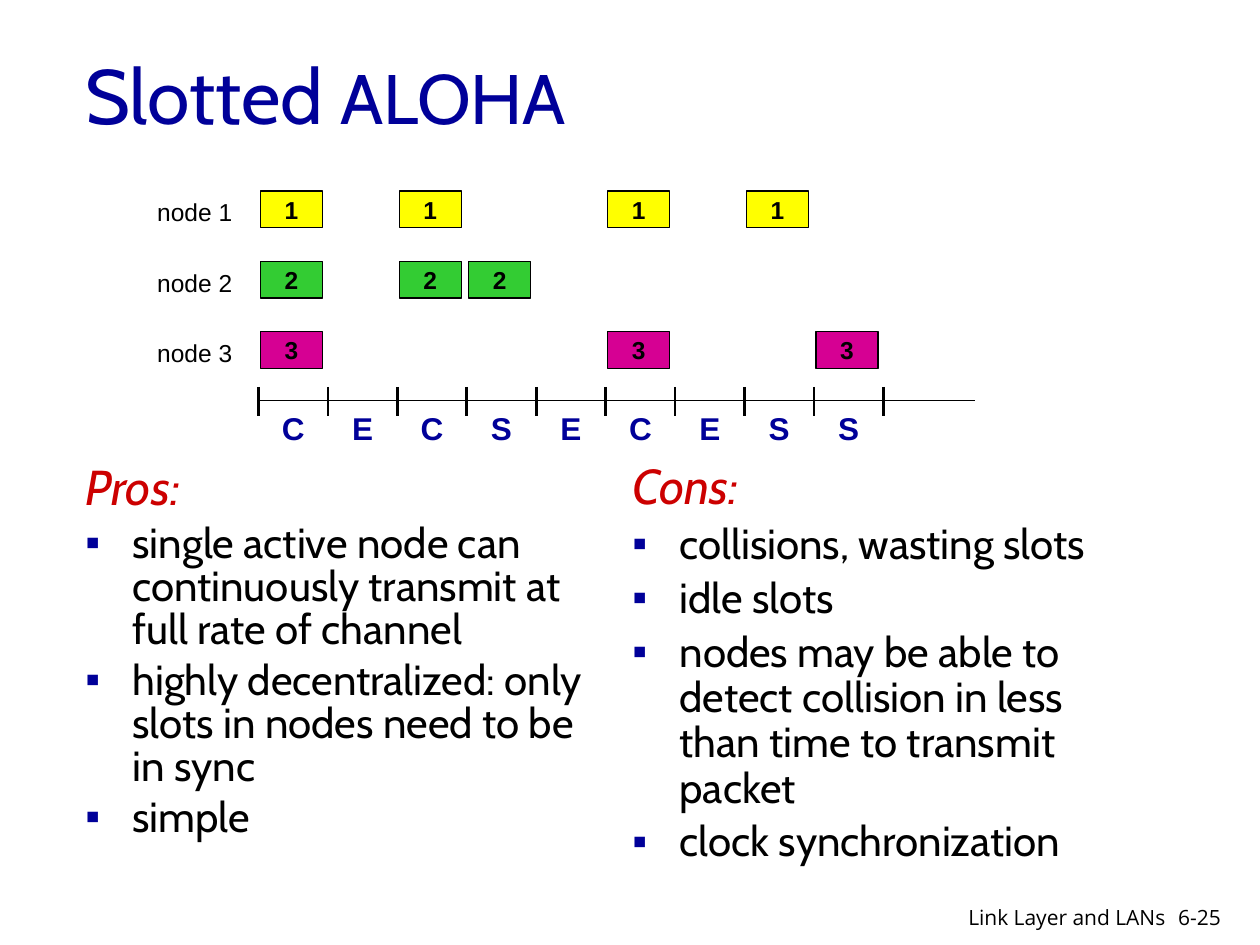
from dataclasses import dataclass

from lxml import etree
from pptx import Presentation
from pptx import util as u
from pptx.dml.color import RGBColor
from pptx.enum import shapes, text
from pptx.oxml import ns

Cm, Pt = u.Cm, u.Pt


@dataclass(frozen=True)
class Theme:
    heading_font: str = "Cabin"
    diagram_font: str = "Arial"
    footer_font: str = "Open Sans"
    navy: str = "000099"
    red: str = "CC0000"
    black: str = "000000"
    yellow: str = "FFFF00"
    green: str = "33CC33"
    magenta: str = "D60093"
    title: int = 44
    title_small: int = 40
    heading: int = 28
    body: int = 24
    outcome: int = 18
    label: int = 14
    footer: int = 12


THEME = Theme()

SLOT_LEFT, SLOT_WIDTH = 5.21, 1.4
ROW_TOP, ROW_PITCH = 3.85, 1.42
FRAME_WIDTH, FRAME_HEIGHT, FRAME_GAP = 1.25, 0.74, 0.04
AXIS_Y, AXIS_RIGHT = 8.08, 19.66
TICK_TOP, TICK_BOTTOM = 7.8, 8.39
OUTCOMES = "CECSECESS"
NODES = [
    (THEME.yellow, [0, 2, 5, 7]),
    (THEME.green, [0, 2, 3]),
    (THEME.magenta, [0, 5, 8]),
]
PROS = [
    "single active node can continuously transmit at full rate of channel",
    "highly decentralized: only slots in nodes need to be in sync",
    "simple",
]
CONS = [
    "collisions, wasting slots",
    "idle slots",
    "nodes may be able to detect collision in less than time to transmit packet",
    "clock synchronization",
]


def style_font(font, name, size, color, bold=False, italic=False):
    font.name = name
    font.size = Pt(size)
    font.color.rgb = RGBColor.from_string(color)
    font.bold = bold
    font.italic = italic


def add_text_frame(slide, left, top, width, height):
    box = slide.shapes.add_textbox(Cm(left), Cm(top), Cm(width), Cm(height))
    box.text_frame.word_wrap = True
    return box.text_frame


def add_label(slide, left, top, width, height, words, name, size,
              color=THEME.black, bold=False, align=text.PP_ALIGN.LEFT):
    paragraph = add_text_frame(slide, left, top, width, height).paragraphs[0]
    paragraph.text = words
    paragraph.alignment = align
    style_font(paragraph.font, name, size, color, bold)


def add_title(slide):
    frame = add_text_frame(slide, 1.47, 0.3, 13.77, 3.18)
    frame.vertical_anchor = text.MSO_ANCHOR.MIDDLE
    paragraph = frame.paragraphs[0]
    for words, size in [("Slotted ", THEME.title), ("ALOHA", THEME.title_small)]:
        run = paragraph.add_run()
        run.text = words
        style_font(run.font, THEME.heading_font, size, THEME.navy)


def indent_paragraph(paragraph, bulleted):
    properties = paragraph._p.get_or_add_pPr()
    properties.set("marL", str(Cm(0.95)))
    properties.set("indent", str(-Cm(0.95)))
    if bulleted:
        color = etree.SubElement(properties, ns.qn("a:buClr"))
        etree.SubElement(color, ns.qn("a:srgbClr"), val=THEME.navy)
        etree.SubElement(properties, ns.qn("a:buFont"), typeface=THEME.diagram_font)
        etree.SubElement(properties, ns.qn("a:buChar"), char="▪")


def add_column(slide, left, top, heading, points, line_spacing):
    frame = add_text_frame(slide, left, top, 10.59, 8.89)
    for index, words in enumerate([heading, *points]):
        is_heading = index == 0
        paragraph = frame.paragraphs[0] if is_heading else frame.add_paragraph()
        size = THEME.heading if is_heading else THEME.body
        color = THEME.red if is_heading else THEME.black
        paragraph.text = words
        paragraph.line_spacing = line_spacing
        paragraph.space_before = Pt(0.2 * size)
        style_font(paragraph.font, THEME.heading_font, size, color, italic=is_heading)
        indent_paragraph(paragraph, bulleted=not is_heading)


def add_frame(slide, slot, top, number, color):
    left = SLOT_LEFT + slot * SLOT_WIDTH + FRAME_GAP
    shape = slide.shapes.add_shape(shapes.MSO_SHAPE.RECTANGLE, Cm(left), Cm(top),
                                   Cm(FRAME_WIDTH), Cm(FRAME_HEIGHT))
    shape.shadow.inherit = False
    shape.fill.solid()
    shape.fill.fore_color.rgb = RGBColor.from_string(color)
    shape.line.color.rgb = RGBColor.from_string(THEME.black)
    shape.line.width = Pt(0.75)
    frame = shape.text_frame
    frame.margin_top = frame.margin_bottom = 0
    frame.vertical_anchor = text.MSO_ANCHOR.MIDDLE
    paragraph = frame.paragraphs[0]
    paragraph.text = str(number)
    paragraph.alignment = text.PP_ALIGN.CENTER
    style_font(paragraph.font, THEME.diagram_font, THEME.label, THEME.black, bold=True)


def add_line(slide, left, top, right, bottom, width):
    line = slide.shapes.add_connector(shapes.MSO_CONNECTOR.STRAIGHT,
                                      Cm(left), Cm(top), Cm(right), Cm(bottom))
    line.line.color.rgb = RGBColor.from_string(THEME.black)
    line.line.width = Pt(width)
    etree.SubElement(line._element.spPr, ns.qn("a:effectLst"))


def add_nodes(slide):
    for row, (color, slots) in enumerate(NODES):
        top = ROW_TOP + row * ROW_PITCH
        add_label(slide, 2.92, top, 2.1, 0.84, f"node {row + 1}",
                  THEME.diagram_font, THEME.label)
        for slot in slots:
            add_frame(slide, slot, top, row + 1, color)


def add_time_axis(slide):
    add_line(slide, SLOT_LEFT, AXIS_Y, AXIS_RIGHT, AXIS_Y, 0.75)
    for tick in range(len(OUTCOMES) + 1):
        left = SLOT_LEFT + tick * SLOT_WIDTH
        add_line(slide, left, TICK_TOP, left, TICK_BOTTOM, 1.5)
    for slot, outcome in enumerate(OUTCOMES):
        add_label(slide, SLOT_LEFT + slot * SLOT_WIDTH, 8.12, SLOT_WIDTH, 1.02,
                  outcome, THEME.diagram_font, THEME.outcome, THEME.navy,
                  bold=True, align=text.PP_ALIGN.CENTER)


def add_footer(slide):
    add_label(slide, 17.7, 18.11, 6.05, 0.66, "Link Layer and LANs",
              THEME.footer_font, THEME.footer, align=text.PP_ALIGN.RIGHT)
    add_label(slide, 23.5, 18.11, 1.52, 0.76, "6-25",
              THEME.footer_font, THEME.footer)


def main():
    presentation = Presentation()
    presentation.slide_width = Cm(25.4)
    presentation.slide_height = Cm(19.05)
    slide = presentation.slides.add_slide(presentation.slide_layouts[6])
    add_column(slide, 1.47, 9.27, "Pros:", PROS, 0.85)
    add_column(slide, 12.5, 9.19, "Cons:", CONS, 0.9)
    add_title(slide)
    add_nodes(slide)
    add_time_axis(slide)
    add_footer(slide)
    presentation.save("out.pptx")


if __name__ == "__main__":
    main()
